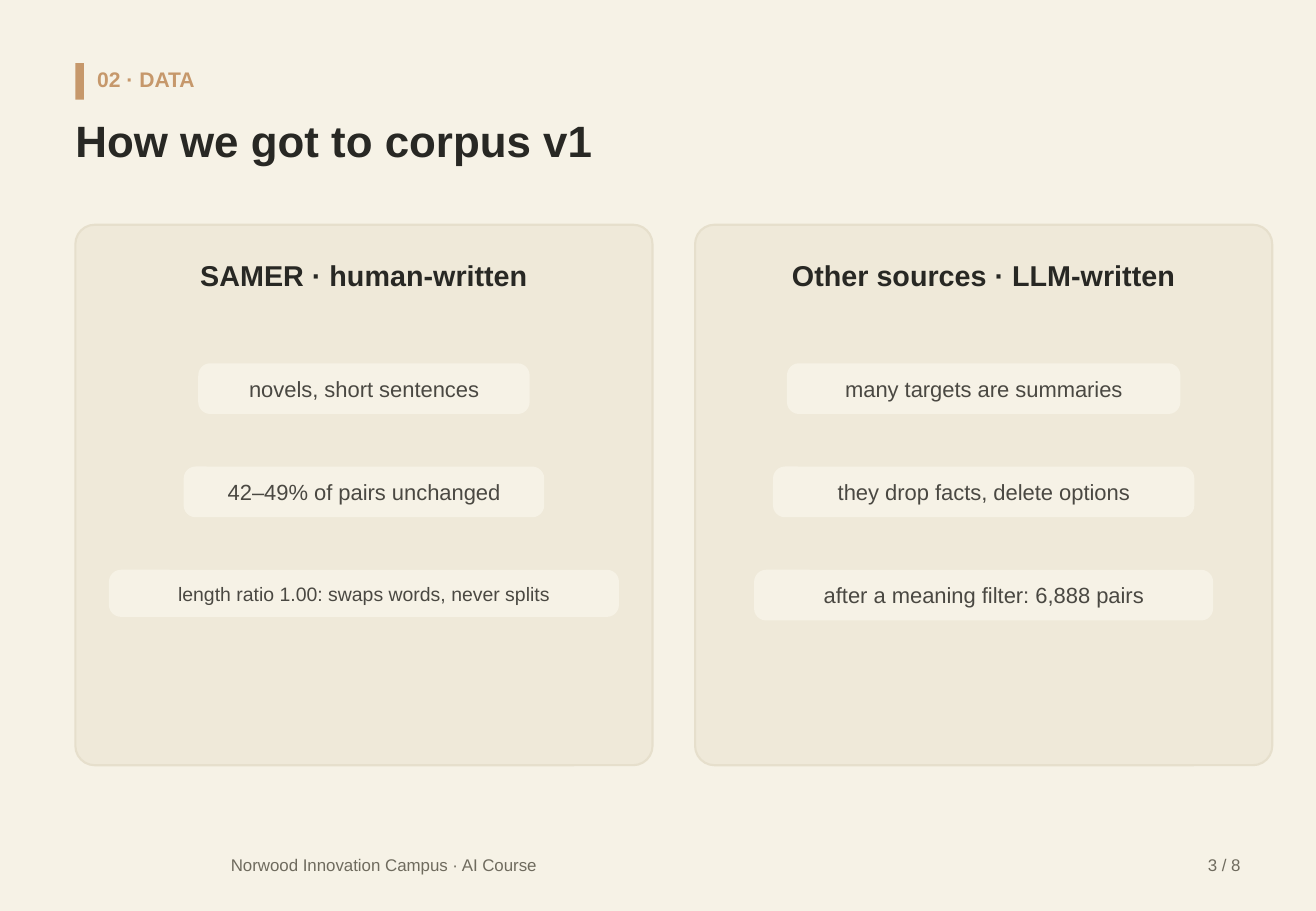
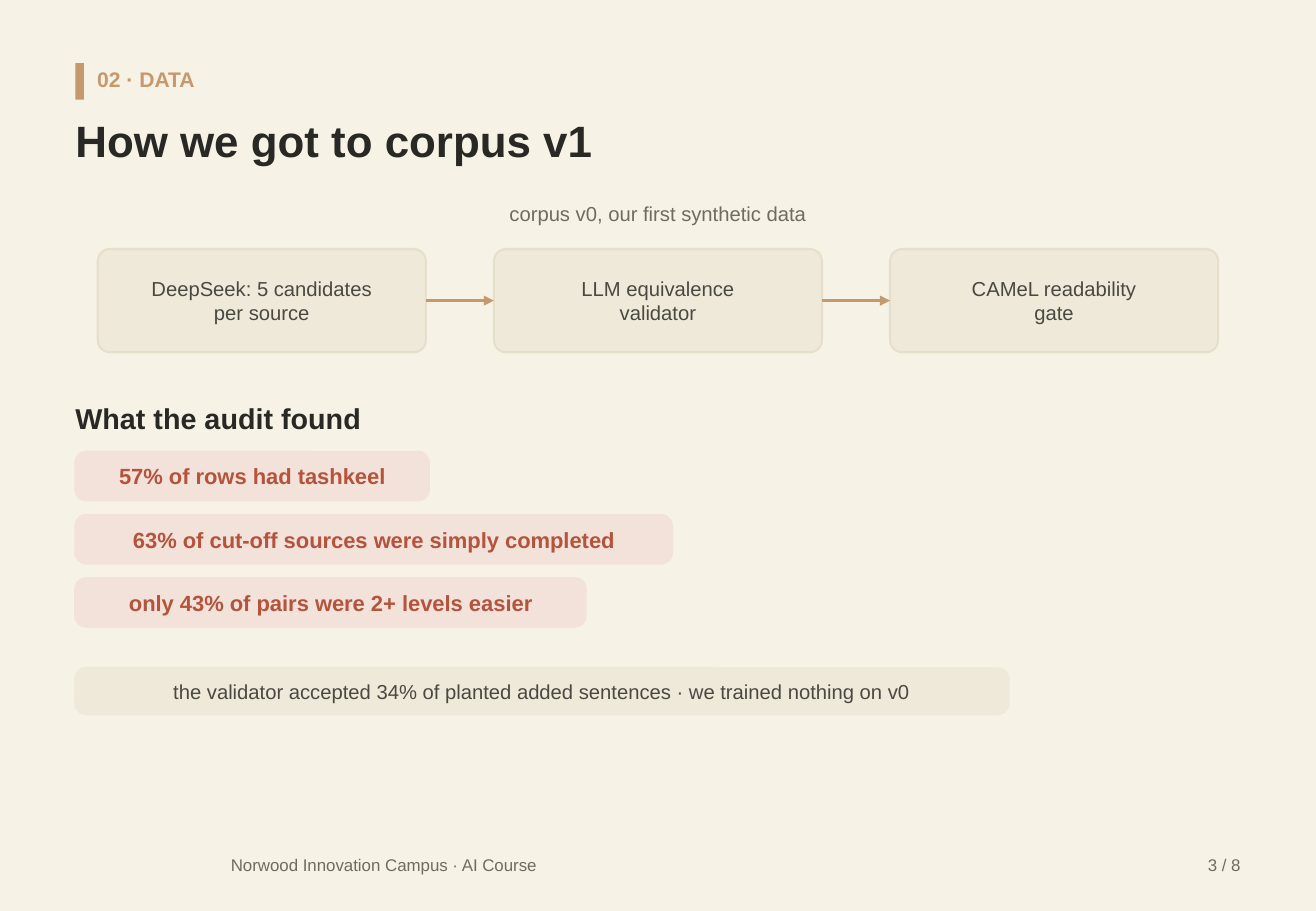
from dataclasses import dataclass

import lxml.etree
import pptx
import pptx.dml.color
import pptx.enum.shapes
import pptx.enum.text
import pptx.oxml.ns
import pptx.util

Inches = pptx.util.Inches
Pt = pptx.util.Pt
qn = pptx.oxml.ns.qn
ALIGN = pptx.enum.text.PP_ALIGN
SHAPE = pptx.enum.shapes.MSO_SHAPE


@dataclass(frozen=True)
class Theme:
    font: str = "Arial"
    paper: str = "F6F2E6"
    card: str = "EFE9D9"
    card_line: str = "E6DFCC"
    accent: str = "C6986B"
    ink: str = "282824"
    body: str = "4A4842"
    muted: str = "6F6B5E"
    alert: str = "B5533C"
    alert_fill: str = "F3E2DA"
    title_size: float = 26
    heading_size: float = 17
    pill_size: float = 13
    kicker_size: float = 12.5
    text_size: float = 12
    small_size: float = 11.5
    footer_size: float = 10
    outline: float = 1.25
    arrow: float = 2


T = Theme()
SLIDE_W, SLIDE_H = 10.83, 7.5
MARGIN = 0.62
CONTENT_W = SLIDE_W - 2 * MARGIN


def rgb(value):
    return pptx.dml.color.RGBColor.from_string(value)


def inches(*lengths):
    return [Inches(n) for n in lengths]


def write(sp, text, size, color, bold=False, align=ALIGN.LEFT, inset=0):
    """Fill a shape with text; each line becomes a paragraph."""
    tf = sp.text_frame
    tf.text = text
    tf.word_wrap = True
    tf.auto_size = pptx.enum.text.MSO_AUTO_SIZE.NONE
    tf.vertical_anchor = pptx.enum.text.MSO_ANCHOR.MIDDLE
    tf.margin_left = tf.margin_right = Inches(inset)
    tf.margin_top = tf.margin_bottom = 0
    for p in tf.paragraphs:
        p.alignment = align
        p.font.name = T.font
        p.font.size = Pt(size)
        p.font.bold = bold
        p.font.color.rgb = rgb(color)


def add_text(s, box, text, size, color, **style):
    write(s.shapes.add_textbox(*inches(*box)), text, size, color, **style)


def add_block(s, box, fill, line=None, radius=0):
    kind = SHAPE.ROUNDED_RECTANGLE if radius else SHAPE.RECTANGLE
    sp = s.shapes.add_shape(kind, *inches(*box))
    sp.shadow.inherit = False
    sp.fill.solid()
    sp.fill.fore_color.rgb = rgb(fill)
    if radius:
        sp.adjustments[0] = radius / min(box[2:])
    if line:
        sp.line.color.rgb = rgb(line)
        sp.line.width = Pt(T.outline)
    else:
        sp.line.fill.background()
    return sp


def add_pill(s, left, top, width, text, size=T.pill_size, fill=T.paper, color=T.body, bold=False):
    """Add a rounded label whose height follows its type size."""
    height = 0.14 + 0.02 * size
    sp = add_block(s, (left, top, width, height), fill, fill, radius=0.09)
    write(sp, text, size, color, bold=bold, align=ALIGN.CENTER, inset=0.12)


def add_arrow(s, source, target):
    """Join the right side of source to the left side of target."""
    c = s.shapes.add_connector(pptx.enum.shapes.MSO_CONNECTOR.STRAIGHT, 0, 0, 0, 0)
    c.begin_connect(source, 3)
    c.end_connect(target, 1)
    c.line.color.rgb = rgb(T.accent)
    c.line.width = Pt(T.arrow)
    properties = c.element.spPr
    lxml.etree.SubElement(properties.find(qn("a:ln")), qn("a:tailEnd"), type="triangle")
    lxml.etree.SubElement(properties, qn("a:effectLst"))


def new_slide(prs, kicker, title, page):
    """Add a slide with the shared kicker, title and footer."""
    s = prs.slides.add_slide(prs.slide_layouts[5])
    add_block(s, (MARGIN, 0.52, 0.07, 0.3), T.accent)
    add_text(s, (0.8, 0.48, 9.39, 0.34), kicker, T.kicker_size, T.accent, bold=True)
    sp = s.shapes.title
    sp.left, sp.top, sp.width, sp.height = inches(MARGIN, 0.88, CONTENT_W, 0.55)
    write(sp, title, T.title_size, T.ink, bold=True)
    add_text(s, (1.9, 6.98, 4.2, 0.28), "Norwood Innovation Campus · AI Course",
             T.footer_size, T.muted)
    add_text(s, (SLIDE_W - MARGIN - 1, 6.98, 1, 0.28), page, T.footer_size, T.muted,
             align=ALIGN.RIGHT)
    return s


def add_source_card(s, box, heading, pills):
    """Add a card with centred pills, each given as (text, width, size)."""
    left, top, width, _ = box
    add_block(s, box, T.card, T.card_line, radius=0.16)
    add_text(s, (left, top + 0.22, width, 0.38), heading, T.heading_size, T.ink,
             bold=True, align=ALIGN.CENTER)
    for i, (text, pill_w, size) in enumerate(pills):
        add_pill(s, left + (width - pill_w) / 2, top + 1.15 + 0.85 * i, pill_w, text, size)


def add_pipeline(s, box, caption, steps):
    """Add a caption over a centred row of steps joined by arrows."""
    left, top, width, height = box
    step_w, step_h, gap = 2.7, 0.85, 0.56
    add_text(s, (left, top, width, 0.28), caption, T.text_size, T.muted, align=ALIGN.CENTER)
    x = left + (width - len(steps) * step_w - (len(steps) - 1) * gap) / 2
    previous = None
    for i, text in enumerate(steps):
        step_box = (x + i * (step_w + gap), top + height - step_h, step_w, step_h)
        sp = add_block(s, step_box, T.card, T.card_line, radius=0.1)
        write(sp, text, T.text_size, T.body, align=ALIGN.CENTER, inset=0.12)
        if previous is not None:
            add_arrow(s, previous, sp)
        previous = sp


def add_findings(s, box, heading, findings, verdict):
    """Add a heading, a stack of alert pills and a closing verdict pill."""
    left, top, width, _ = box
    add_text(s, (left, top, width, 0.38), heading, T.heading_size, T.ink, bold=True)
    for i, (text, pill_w) in enumerate(findings):
        add_pill(s, left, top + 0.47 + 0.52 * i, pill_w, text,
                 fill=T.alert_fill, color=T.alert, bold=True)
    text, pill_w = verdict
    add_pill(s, left, top + 2.25, pill_w, text, T.text_size, fill=T.card)


def build_sources_slide(prs):
    s = new_slide(prs, "02 · DATA", "How we got to corpus v1", "3 / 8")
    cards = [
        ("SAMER · human-written", [
            ("novels, short sentences", 2.71, T.pill_size),
            ("42–49% of pairs unchanged", 2.95, T.pill_size),
            ("length ratio 1.00: swaps words, never splits", 4.18, T.small_size),
        ]),
        ("Other sources · LLM-written", [
            ("many targets are summaries", 3.22, T.pill_size),
            ("they drop facts, delete options", 3.45, T.pill_size),
            ("after a meaning filter: 6,888 pairs", 3.76, T.pill_size),
        ]),
    ]
    card_w, gap = 4.75, 0.35
    for i, (heading, pills) in enumerate(cards):
        add_source_card(s, (MARGIN + i * (card_w + gap), 1.85, card_w, 4.45), heading, pills)


def build_audit_slide(prs):
    s = new_slide(prs, "02 · DATA", "How we got to corpus v1", "3 / 8")
    add_pipeline(s, (MARGIN, 1.62, CONTENT_W, 1.28), "corpus v0, our first synthetic data", [
        "DeepSeek: 5 candidates\nper source",
        "LLM equivalence\nvalidator",
        "CAMeL readability\ngate",
    ])
    add_findings(
        s, (MARGIN, 3.25, CONTENT_W, 2.63), "What the audit found",
        [
            ("57% of rows had tashkeel", 2.91),
            ("63% of cut-off sources were simply completed", 4.91),
            ("only 43% of pairs were 2+ levels easier", 4.2),
        ],
        ("the validator accepted 34% of planted added sentences · we trained nothing on v0", 7.68),
    )


def main():
    prs = pptx.Presentation()
    prs.slide_width, prs.slide_height = inches(SLIDE_W, SLIDE_H)
    background = prs.slide_master.background.fill
    background.solid()
    background.fore_color.rgb = rgb(T.paper)
    build_sources_slide(prs)
    build_audit_slide(prs)
    prs.save("out.pptx")


if __name__ == "__main__":
    main()
